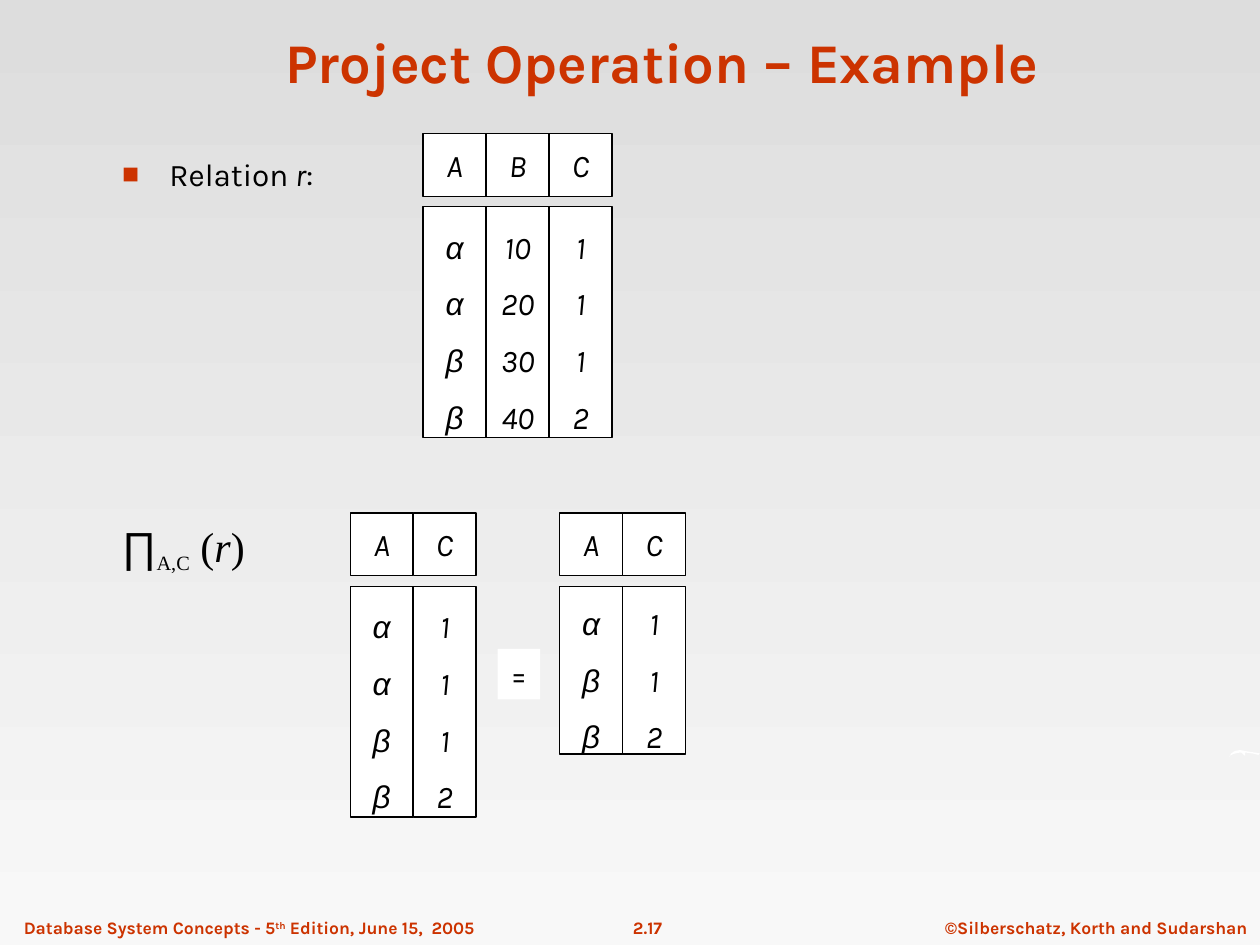
from lxml import etree
from pptx import Presentation
from pptx import util as u
from pptx.dml.color import RGBColor
from pptx.enum import shapes, text
from pptx.oxml.ns import qn

RED = RGBColor(0xCC, 0x33, 0x00)
BLACK = RGBColor(0, 0, 0)
WHITE = RGBColor(0xFF, 0xFF, 0xFF)
TOP_GREY = RGBColor(0xDD, 0xDD, 0xDD)
BOTTOM_GREY = RGBColor(0xF8, 0xF8, 0xF8)

CELL = 1.27
HEADER_STEP = 1.48
BODY_HEIGHTS = {3: 3.38, 4: 4.65}
LEFT, CENTER = text.PP_ALIGN.LEFT, text.PP_ALIGN.CENTER
MIDDLE, BOTTOM = text.MSO_ANCHOR.MIDDLE, text.MSO_ANCHOR.BOTTOM
FIT, FIXED = text.MSO_AUTO_SIZE.SHAPE_TO_FIT_TEXT, text.MSO_AUTO_SIZE.NONE


def style_span(span, size=18, font="Karla", color=BLACK, bold=False, italic=False, baseline=0):
    span.font.size = u.Pt(size)
    span.font.name = font
    span.font.color.rgb = color
    span.font.bold = bold
    span.font.italic = italic
    if baseline:
        span.font._element.set("baseline", str(baseline * 1000))


def write(shape, lines, align=LEFT, anchor=text.MSO_ANCHOR.TOP, wrap=True,
          fit=FIXED, spacing=1.0, **style):
    """Fill a shape; each line is a list of (text, style changes) pairs."""
    frame = shape.text_frame
    frame.word_wrap = wrap
    frame.auto_size = fit
    frame.vertical_anchor = anchor
    for index, line in enumerate(lines):
        para = frame.add_paragraph() if index else frame.paragraphs[0]
        para.alignment = align
        para.line_spacing = spacing
        para.space_before = u.Pt(0)
        for words, changes in line:
            span = para.add_run()
            span.text = words
            style_span(span, **{**style, **changes})


def place(shape, left, top, width, height):
    shape.left, shape.top = u.Cm(left), u.Cm(top)
    shape.width, shape.height = u.Cm(width), u.Cm(height)


def add_text(page, left, top, width, height, line, **style):
    box = page.shapes.add_textbox(u.Cm(left), u.Cm(top), u.Cm(width), u.Cm(height))
    write(box, [line], **style)


def add_box(page, left, top, width, height, lines, outlined=True, **style):
    box = page.shapes.add_shape(shapes.MSO_SHAPE.RECTANGLE, u.Cm(left), u.Cm(top),
                                u.Cm(width), u.Cm(height))
    box.shadow.inherit = False
    box.fill.solid()
    box.fill.fore_color.rgb = WHITE
    if outlined:
        box.line.color.rgb = BLACK
        box.line.width = u.Pt(0.75)
    else:
        box.line.fill.background()
    write(box, [[(line, {})] for line in lines], align=CENTER, anchor=MIDDLE,
          wrap=False, **style)


def add_relation(page, left, top, columns):
    """Draw a relation as header squares above one tall box per column."""
    for index, (name, values) in enumerate(columns.items()):
        x = left + index * CELL
        font = "Karla" if values[0].isdigit() else "Arial"
        add_box(page, x, top, CELL, CELL, [name], italic=True)
        add_box(page, x, top + HEADER_STEP, CELL, BODY_HEIGHTS[len(values)], values,
                italic=True, font=font, spacing=1.5)


def add_bullet(para, char, color, percent, indent):
    properties = para._p.get_or_add_pPr()
    properties.set("marL", str(u.Cm(indent)))
    properties.set("indent", str(-u.Cm(indent)))
    tint = etree.SubElement(properties, qn("a:buClr"))
    etree.SubElement(tint, qn("a:srgbClr"), val=str(color))
    etree.SubElement(properties, qn("a:buSzPct"), val=str(percent * 1000))
    etree.SubElement(properties, qn("a:buChar"), char=char)


def add_swoosh(page):
    points = [(24.77, 15.27), (24.82, 15.19), (24.89, 15.14), (25.0, 15.12),
              (25.1, 15.14), (25.22, 15.16), (25.35, 15.18), (25.4, 15.19),
              (25.37, 15.22), (25.25, 15.19), (25.1, 15.17), (25.1, 15.24),
              (25.02, 15.17), (24.94, 15.18), (24.87, 15.2), (24.8, 15.23)]
    outline = [(u.Cm(x), u.Cm(y)) for x, y in points]
    builder = page.shapes.build_freeform(*outline[0])
    builder.add_line_segments(outline[1:], close=True)
    swoosh = builder.convert_to_shape()
    swoosh.shadow.inherit = False
    swoosh.fill.solid()
    swoosh.fill.fore_color.rgb = WHITE
    swoosh.line.fill.background()


def paint_background(page):
    fill = page.background.fill
    fill.gradient()
    fill.gradient_angle = 270
    for stop, color in zip(fill.gradient_stops, (TOP_GREY, BOTTOM_GREY)):
        stop.color.rgb = color


def add_footer(page):
    style = dict(size=10, color=RED, bold=True, wrap=False, fit=FIT)
    add_text(page, 18.69, 18.36, 6.81, 0.69, [("©Silberschatz, Korth and Sudarshan", {})],
             align=CENTER, **style)
    add_text(page, 11.76, 18.36, 2.59, 0.69, [("2.17", {})], align=CENTER, **style)
    add_text(page, 0.23, 18.36, 9.83, 0.69,
             [("Database System Concepts - 5", {}), ("th", {"baseline": 30}),
              (" Edition, June 15,  2005", {})], **style)


def main():
    deck = Presentation()
    deck.slide_width, deck.slide_height = u.Cm(25.4), u.Cm(19.05)
    page = deck.slides.add_slide(deck.slide_layouts[1])
    paint_background(page)
    add_footer(page)
    add_swoosh(page)

    title, body = page.placeholders
    place(title, 2.13, 0.33, 22.43, 1.7)
    write(title, [[("Project Operation – Example", {})]], align=CENTER, anchor=BOTTOM,
          size=32, color=RED, bold=True)
    place(body, 2.21, 3.0, 19.05, 1.14)
    add_bullet(body.text_frame.paragraphs[0], "■", RED, 90, 0.95)
    write(body, [[("Relation", {}), (" r", {"italic": True}), (":", {})]])

    add_relation(page, 8.53, 2.69, {"A": "ααββ", "B": ["10", "20", "30", "40"], "C": "1112"})
    add_relation(page, 7.06, 10.34, {"A": "ααββ", "C": "1112"})
    add_box(page, 10.03, 13.08, 0.86, 1.02, ["="], outlined=False, fit=FIT)
    add_relation(page, 11.28, 10.34, {"A": "αββ", "C": "112"})
    add_text(page, 2.21, 10.36, 19.53, 1.14,
             [("∏", {"font": "Arial"}), ("A,C", {"size": 20, "baseline": -25}),
              (" (", {}), ("r", {"italic": True}), (")", {})],
             size=24, font="Times New Roman")
    deck.save("out.pptx")


if __name__ == "__main__":
    main()
